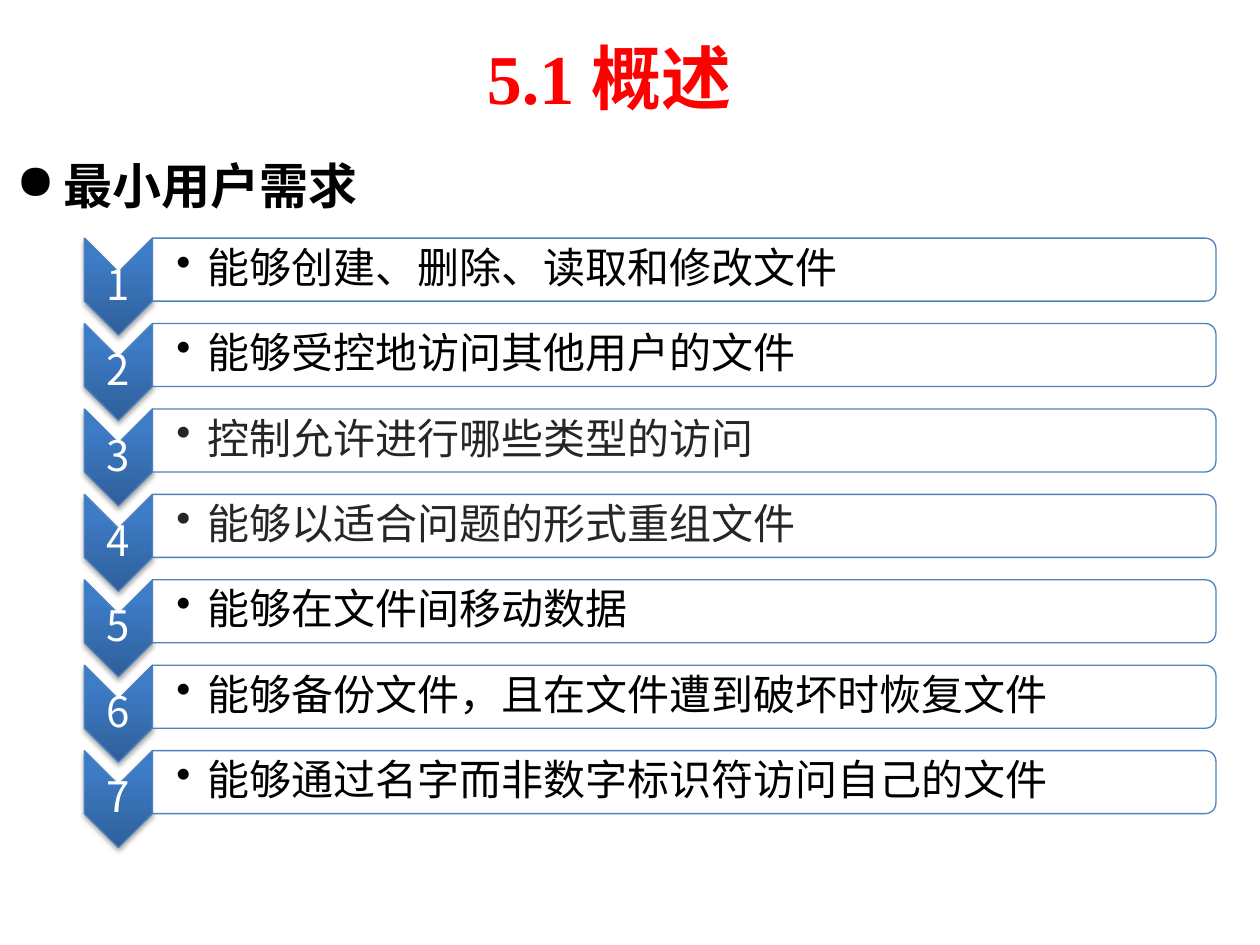
from pptx import Presentation
from pptx.dml.color import RGBColor
from pptx.enum.shapes import MSO_SHAPE as SHAPE
from pptx.enum.text import MSO_ANCHOR as ANCHOR, PP_ALIGN as ALIGN
from pptx.oxml import parse_xml
from pptx.oxml.ns import nsdecls, qn
from pptx.util import Inches, Pt
from lxml import etree

C = dict(title="FF0000", text="000000", soft="262626", white="FFFFFF",
         line="4F81BD", dark="2F5F99", mid="3D7CC7", light="3A7CCB")
SANS = "Noto Sans CJK SC"


def write(tf, text, size=24, font=SANS, color="text", bold=False, align=ALIGN.LEFT,
          anchor=ANCHOR.MIDDLE, insets=None, spacing=0.9, before=0, after=0,
          bullet=None, indent=0):
    tf.word_wrap = True
    tf.vertical_anchor = anchor
    if insets:
        tf.margin_left, tf.margin_top, tf.margin_right, tf.margin_bottom = map(Inches, insets)
    p = tf.paragraphs[0]
    p.alignment, p.line_spacing = align, spacing
    p.space_before, p.space_after = Pt(before), Pt(after)
    if bullet:
        pPr = p._p.get_or_add_pPr()
        pPr.set("marL", str(Inches(indent)))
        pPr.set("indent", str(-Inches(indent)))
        etree.SubElement(pPr, qn("a:buChar")).set("char", bullet)
    r = p.add_run()
    r.text = text
    r.font.size, r.font.bold, r.font.name = Pt(size), bold, font
    r.font.color.rgb = RGBColor.from_string(C[color])
    # East Asian glyphs use the sans face
    etree.SubElement(r._r.get_or_add_rPr(), qn("a:ea")).set("typeface", SANS)


def add_rotated(shapes, kind, left, top, width, height):
    """Add a shape turned by 90 degrees that covers the given visible box."""
    sp = shapes.add_shape(kind, Inches(left + (width - height) / 2),
                          Inches(top + (height - width) / 2), Inches(height), Inches(width))
    sp.rotation = 90
    sp.shadow.inherit = False
    sp.line.color.rgb = RGBColor.from_string(C["line"])
    sp.line.width = Pt(0.75)
    return sp


prs = Presentation()
prs.slide_width, prs.slide_height = Inches(10), Inches(7.5)
s = prs.slides.add_slide(prs.slide_layouts[5])

# Title
title = s.shapes.title
title.left, title.top, title.width, title.height = map(Inches, (0.92, 0.3, 7.83, 0.62))
write(title.text_frame, "5.1 概述", size=40, font="Times New Roman", color="title",
      bold=True, align=ALIGN.CENTER, spacing=1)

# Heading
heading = s.shapes.add_textbox(*map(Inches, (0.03, 1.07, 8.83, 0.67)))
write(heading.text_frame, "最小用户需求", size=28, font="Arial", bold=True,
      anchor=ANCHOR.TOP, spacing=1.25, before=5.6, bullet="●", indent=0.38)

# Chevron list: one row per requirement
needs = [
    ("能够创建、删除、读取和修改文件", "text"),
    ("能够受控地访问其他用户的文件", "text"),
    ("控制允许进行哪些类型的访问", "soft"),
    ("能够以适合问题的形式重组文件", "soft"),
    ("能够在文件间移动数据", "text"),
    ("能够备份文件，且在文件遭到破坏时恢复文件", "text"),
    ("能够通过名字而非数字标识符访问自己的文件", "text"),
]
TOP, PITCH = 1.89, 0.678
CHEVRON_X, CHEVRON_W, CHEVRON_H = 0.67, 0.54, 0.77
BAR_X, BAR_W, BAR_H = CHEVRON_X + CHEVRON_W, 8.44, 0.5
PAD = 0.02

for i, (need, color) in enumerate(needs):
    y = TOP + i * PITCH

    # Numbered chevron with gradient and soft shadow
    chevron = add_rotated(s.shapes, SHAPE.CHEVRON, CHEVRON_X, y, CHEVRON_W, CHEVRON_H)
    chevron.fill.gradient()
    spPr = chevron._element.spPr
    stops = "".join(f'<a:gs pos="{pos}000"><a:srgbClr val="{C[name]}"/></a:gs>'
                    for pos, name in ((0, "dark"), (80, "mid"), (100, "light")))
    spPr.replace(spPr.find(qn("a:gradFill")), parse_xml(
        f'<a:gradFill {nsdecls("a")} rotWithShape="0"><a:gsLst>{stops}</a:gsLst>'
        '<a:lin ang="16200000" scaled="0"/></a:gradFill>'))
    spPr.find(qn("a:effectLst")).append(parse_xml(
        f'<a:outerShdw {nsdecls("a")} blurRad="{Pt(3.1)}" dist="{Pt(1.8)}" dir="5400000" '
        'rotWithShape="0"><a:srgbClr val="000000"><a:alpha val="35000"/></a:srgbClr>'
        '</a:outerShdw>'))
    number = s.shapes.add_textbox(Inches(CHEVRON_X), Inches(y + CHEVRON_W / 2),
                                  Inches(CHEVRON_W), Inches(CHEVRON_H - CHEVRON_W))
    write(number.text_frame, str(i + 1), color="white", align=ALIGN.CENTER,
          insets=[PAD] * 4, after=8.4)

    # Requirement bar, rounded on the right
    bar = add_rotated(s.shapes, SHAPE.ROUND_2_SAME_RECTANGLE, BAR_X, y, BAR_W, BAR_H)
    bar.fill.solid()
    bar.fill.fore_color.rgb = RGBColor.from_string(C["white"])
    fill_color = bar._element.spPr.find(qn("a:solidFill"))[0]
    etree.SubElement(fill_color, qn("a:alpha")).set("val", "90000")
    label = s.shapes.add_textbox(Inches(BAR_X), Inches(y + PAD),
                                 Inches(BAR_W - PAD), Inches(BAR_H - 2 * PAD))
    write(label.text_frame, need, color=color, insets=[0.19, PAD, PAD, PAD],
          after=3.6, bullet="•", indent=0.25)

prs.save("out.pptx")
